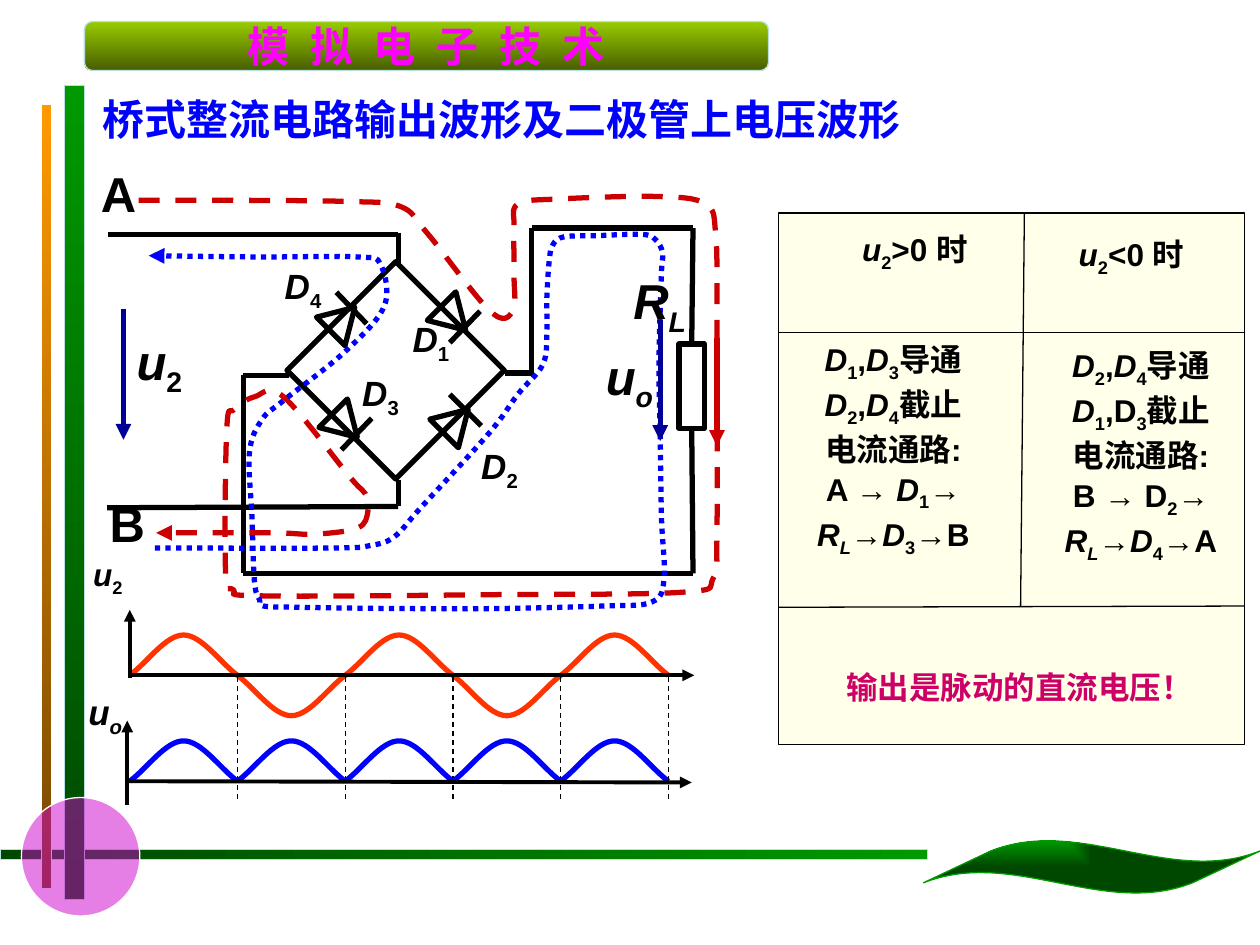
from itertools import groupby
from lxml.etree import Element, SubElement
from pptx import Presentation
from pptx.dml.color import RGBColor
from pptx.enum.shapes import MSO_CONNECTOR, MSO_SHAPE
from pptx.enum.text import MSO_ANCHOR, PP_ALIGN
from pptx.oxml.ns import qn
from pptx.util import Inches, Pt

BLACK, WHITE = RGBColor(0, 0, 0), RGBColor(255, 255, 255)
BLUE, NAVY = RGBColor(0, 0, 255), RGBColor(0, 0, 0x99)
RED, ORANGE = RGBColor(0xCC, 0, 0), RGBColor(255, 0x33, 0)
PINK, ROSE = RGBColor(255, 0, 255), RGBColor(0xCC, 0, 0x66)
PURPLE, CREAM = RGBColor(0xCC, 0, 0xCC), RGBColor(255, 255, 0xD7)
GREEN, DARK = RGBColor(0, 0x99, 0), RGBColor(0, 0x47, 0)
AMBER, BROWN = RGBColor(255, 0x99, 0), RGBColor(0x76, 0x47, 0)
LIME, OLIVE = RGBColor(0x99, 0xCC, 0), RGBColor(0x47, 0x5E, 0)
PALE = RGBColor(0xBB, 0xE0, 0xE3)
CJK = "Noto Sans CJK SC"

# Content: "/" switches italics, "_" switches subscript
TITLE = "桥式整流电路输出波形及二极管上电压波形"
BANNER = "模 拟 电 子 技 术"
CELLS = [
    ("/u/_2_>0 时", (6.35, 1.78, 1.82, 0.5)),
    ("/u/_2_<0 时", (8.29, 1.82, 1.38, 0.5)),
    ("/D/_1_,/D/_3_导通\n/D/_2_,/D/_4_截止\n电流通路:\nA → /D/_1_→\n/R_L_/→/D/_3_→B",
     (6.22, 2.63, 1.74, 1.69)),
    ("/D/_2_,/D/_4_导通\n/D/_1_,D_3_截止\n电流通路:\nB → D_2_→\n/R_L_/→/D/_4_→A",
     (8.23, 2.68, 1.65, 1.69)),
]
LABELS = [  # text, box, size
    ("/u/_2_", (0.59, 4.36, 0.53, 0.5), 18),
    ("/u_o_/", (0.59, 5.43, 0.49, 0.44), 20),
    ("/u/_2_", (0.96, 2.58, 0.61, 0.57), 28),
    ("/u_o_/", (4.69, 2.7, 0.61, 0.57), 28),
    ("/R_L_/", (4.68, 2.1, 1.11, 0.57), 28),
    ("A", (0.67, 1.25, 0.54, 0.57), 28),
    ("B", (0.74, 3.87, 0.54, 0.57), 28),
    ("/D/_4_", (2.1, 2.05, 0.61, 0.44), 20),
    ("/D/_2_", (3.66, 3.48, 0.61, 0.44), 20),
    ("/D/_1_", (3.11, 2.47, 0.62, 0.44), 20),
    ("/D/_3_", (2.71, 2.9, 0.62, 0.44), 20),
]
WIRES = [
    (0.86, 1.86, 3.16, 1.86), (3.16, 1.85, 3.16, 2.1),
    (0.85, 4.03, 3.16, 4.02), (3.16, 4.02, 3.16, 3.81),
    (2.29, 2.98, 1.93, 2.98), (1.93, 2.98, 1.93, 4.55),
    (1.93, 4.55, 5.5, 4.55), (4.22, 1.81, 5.5, 1.81),
    (4.22, 1.81, 4.22, 2.98), (4.01, 2.96, 4.22, 2.96),
]
DIODES = [  # triangle corner, turn, bar
    (2.56, 2.4, 45, (2.67, 2.32, 2.91, 2.57)),
    (3.46, 3.21, 45, (3.57, 3.13, 3.82, 3.38)),
    (3.44, 2.39, 135, (3.81, 2.47, 3.57, 2.72)),
    (2.58, 3.24, 135, (2.95, 3.32, 2.71, 3.57)),
]
RED_LOOP = [
    (1.1, 1.59), (1.78, 1.59), (2.77, 1.6), (3.18, 1.64), (3.39, 1.85),
    (3.89, 2.47), (4.07, 2.47), (4.08, 2.19), (4.08, 1.81), (4.11, 1.62), (4.43, 1.58),
    (5.22, 1.56), (5.6, 1.62), (5.68, 1.86), (5.69, 2.53), (5.69, 4.24), (5.66, 4.59),
    (5.43, 4.7), (3.94, 4.72), (2.08, 4.73), (1.85, 4.68), (1.79, 4.53), (1.8, 3.4),
    (1.86, 3.25), (2.02, 3.15), (2.25, 3.15), (2.78, 3.79), (2.9, 3.92), (2.92, 4.06),
    (2.84, 4.19), (2.5, 4.24), (2.17, 4.23), (1.24, 4.23)]
BLUE_LOOP = [
    (1.23, 4.35), (2.63, 4.35), (2.94, 4.33), (3.13, 4.26), (3.34, 4.03),
    (3.88, 3.44), (4.11, 3.13), (4.31, 2.89), (4.34, 2.63), (4.34, 2.37), (4.36, 2.06),
    (4.39, 1.94), (4.48, 1.88), (4.76, 1.87), (5.09, 1.86), (5.2, 1.9), (5.26, 2.01),
    (5.25, 2.16), (5.23, 2.88), (5.24, 3.48), (5.25, 4.11), (5.27, 4.6), (5.17, 4.78),
    (4.79, 4.81), (3.96, 4.83), (3.14, 4.83), (2.35, 4.82), (2.09, 4.81), (2.06, 4.76),
    (2.02, 4.62), (2, 4.1), (1.98, 3.59), (2.08, 3.33), (2.25, 3.18), (2.74, 2.79),
    (3.05, 2.43), (3.02, 2.1), (2.84, 2.04), (2.04, 2.04), (1.18, 2.03)]

prs = Presentation()
prs.slide_width, prs.slide_height = Inches(10), Inches(7.5)
slide = prs.slides.add_slide(prs.slide_layouts[5])
shapes = slide.shapes


def place(shape, box):
    shape.left, shape.top, shape.width, shape.height = map(Inches, box)


def write(frame, text, size=18, color=BLACK, face="Arial", align=PP_ALIGN.CENTER,
          anchor=MSO_ANCHOR.TOP, wrap=True, lead=1.0, gap=0):
    frame.word_wrap, frame.vertical_anchor = wrap, anchor
    for i, line in enumerate(text.split("\n")):
        para = frame.add_paragraph() if i else frame.paragraphs[0]
        para.alignment, para.line_spacing = align, lead
        marks, tilt, low = [], False, False
        for ch in line:
            if ch == "/":
                tilt = not tilt
            elif ch == "_":
                low = not low
            else:
                marks.append((ch, tilt, low))
        for (tilt, low), part in groupby(marks, key=lambda m: m[1:]):
            run = para.add_run()
            run.text = "".join(m[0] for m in part)
            font = run.font
            font.size, font.bold, font.italic = Pt(size), True, tilt
            font.name, font.color.rgb = face, color
            props = run._r.get_or_add_rPr()
            SubElement(props, qn("a:ea")).set("typeface", CJK)
            if low:
                props.set("baseline", "-25000")
            if gap:
                props.set("spc", str(gap))


def label(text, box, **style):
    write(shapes.add_textbox(*map(Inches, box)).text_frame, text, **style)


def stroke(item, color, width, dash=None, arrow=False):
    item.line.color.rgb, item.line.width = color, Pt(width)
    ln = item.line._get_or_add_ln()
    if dash:
        SubElement(ln, qn("a:prstDash")).set("val", dash)
    if arrow:
        SubElement(ln, qn("a:tailEnd")).set("type", "triangle")


def line(ends, color=BLACK, width=3, **style):
    wire = shapes.add_connector(MSO_CONNECTOR.STRAIGHT, *map(Inches, ends))
    stroke(wire, color, width, **style)
    SubElement(wire._element.spPr, qn("a:effectLst"))
    return wire


def block(kind, box, fill=None, edge=BLACK, width=3, angle=0, alpha=None, turn=0):
    shape = shapes.add_shape(kind, *map(Inches, box))
    shape.shadow.inherit, shape.rotation = False, turn
    if fill is None:
        shape.fill.background()
    elif isinstance(fill, list):
        shape.fill.gradient()
        shape.fill.gradient_angle = angle
        for stop, color in zip(shape.fill.gradient_stops, fill):
            stop.color.rgb = color
    else:
        shape.fill.solid()
        shape.fill.fore_color.rgb = fill
    if alpha:
        tint = shape._element.spPr.find(".//" + qn("a:srgbClr"))
        SubElement(tint, qn("a:alpha")).set("val", str(alpha * 1000))
    stroke(shape, edge, width)
    return shape


def curve(knots, color, **style):
    """Draw a smooth Bezier curve through the knots."""
    knots = [(Inches(x), Inches(y)) for x, y in knots]
    pen = shapes.build_freeform(*knots[0], scale=1.0)
    pen.add_line_segments(knots[1:], close=False)
    shape = pen.convert_to_shape()
    shape.shadow.inherit = False
    shape.fill.background()
    stroke(shape, color, 3, **style)
    track = shape._element.spPr.find(".//" + qn("a:path"))
    spots = [(int(p.get("x")), int(p.get("y"))) for p in track.iter(qn("a:pt"))]
    first = [2 * a - b for a, b in zip(spots[0], spots[1])]
    last = [2 * a - b for a, b in zip(spots[-1], spots[-2])]
    ends = [first, *spots, last]
    for step, a, b, c, d in zip(list(track)[1:], ends, ends[1:], ends[2:], ends[3:]):
        step.tag = qn("a:cubicBezTo")
        pulls = ([q + (r - p) / 6 for p, q, r in zip(a, b, c)],
                 [q - (r - p) / 6 for p, q, r in zip(b, c, d)])
        for i, (x, y) in enumerate(pulls):
            step.insert(i, Element(qn("a:pt"), x=str(round(x)), y=str(round(y))))


# Frame decoration and banner
RECT = MSO_SHAPE.RECTANGLE
block(RECT, (0, 6.74, 7.36, 0.08), [DARK, GREEN], PALE, 0.75)
block(RECT, (0.51, 0.68, 0.16, 6.46), [GREEN, DARK], PALE, 0.75, angle=270)
block(RECT, (0.33, 0.83, 0.08, 6.22), [AMBER, BROWN], WHITE, 0.5, angle=270)
block(MSO_SHAPE.OVAL, (0.17, 6.33, 0.94, 0.94), PURPLE, WHITE, 0.75, alpha=50)
banner = block(MSO_SHAPE.FLOWCHART_ALTERNATE_PROCESS, (0.67, 0.17, 5.43, 0.39),
               [LIME, OLIVE], PALE, 0.75, angle=270)
write(banner.text_frame, BANNER, size=24, color=PINK, face=CJK,
      anchor=MSO_ANCHOR.MIDDLE, wrap=False, gap=330)
leaf = block(MSO_SHAPE.WAVE, (7.33, 6.67, 2.67, 0.42), [GREEN, DARK], GREEN, 0.75)
leaf.adjustments[0], leaf.adjustments[1] = 0.21, -0.1
grad = leaf._element.spPr.find(qn("a:gradFill"))
grad.remove(grad.find(qn("a:lin")))
glow = SubElement(grad, qn("a:path"))
glow.set("path", "rect")
SubElement(glow, qn("a:fillToRect"), r="100000", b="100000")

# Title
place(shapes.title, (0.71, 0.69, 7.72, 0.51))
write(shapes.title.text_frame, TITLE, size=24, color=BLUE, align=PP_ALIGN.LEFT,
      anchor=MSO_ANCHOR.MIDDLE)

# Comparison panel
block(RECT, (6.18, 1.69, 3.7, 4.22), CREAM, BLACK, 0.75, alpha=50)
for text, box in CELLS:
    label(text, box, lead=1.05 if "\n" in text else 1.0)
for ends in [(6.18, 4.82, 9.88, 4.81), (8.13, 1.69, 8.1, 4.81), (6.18, 2.64, 9.88, 2.64)]:
    line(ends, width=0.75)
label("输出是脉动的直流电压！", (6.37, 5.25, 3.44, 0.4), color=ROSE)

# Waveforms: knots at each quarter period
LEFT, HALF, HIGH = 1.03, 0.855, 0.32
curve([(LEFT + HALF * k / 2, 5.36 - HIGH * (0, 1, 0, -1)[k % 4]) for k in range(11)], ORANGE)
for n in range(5):
    start = LEFT + n * HALF
    curve([(start, 6.2), (start + HALF / 2, 6.2 - HIGH), (start + HALF, 6.2)], BLUE)
    line((start + HALF, 5.37, start + HALF, 6.35), width=0.75, dash="dash")
for ends in [(1.03, 5.38, 1.03, 4.84), (1.03, 5.36, 5.51, 5.36),
             (1.01, 6.39, 1.01, 5.72), (1.01, 6.2, 5.49, 6.21)]:
    line(ends, width=2.25, arrow=True)

# Bridge circuit
for ends in WIRES:
    line(ends)
load = block(RECT, (5.39, 2.73, 0.2, 0.67))
line((5.5, 1.81, 5.5, 2.73)).end_connect(load, 0)
line((5.5, 3.4, 5.5, 4.55)).begin_connect(load, 2)
block(RECT, (2.53, 2.33, 1.22, 1.22), turn=45)
for x, y, turn, bar in DIODES:
    block(MSO_SHAPE.ISOSCELES_TRIANGLE, (x, y, 0.32, 0.27), turn=turn)
    line(bar)

# Current loops and voltage arrows
curve(RED_LOOP, RED, dash="dash", arrow=True)
curve(BLUE_LOOP, BLUE, dash="sysDot", arrow=True)
for x, top, end, color in [(0.98, 2.45, 3.49, NAVY), (5.69, 2.68, 3.54, RED),
                           (5.24, 2.54, 3.5, NAVY)]:
    line((x, top, x, end), color, arrow=True)
for text, box, size in LABELS:
    label(text, box, size=size)

prs.save("out.pptx")
